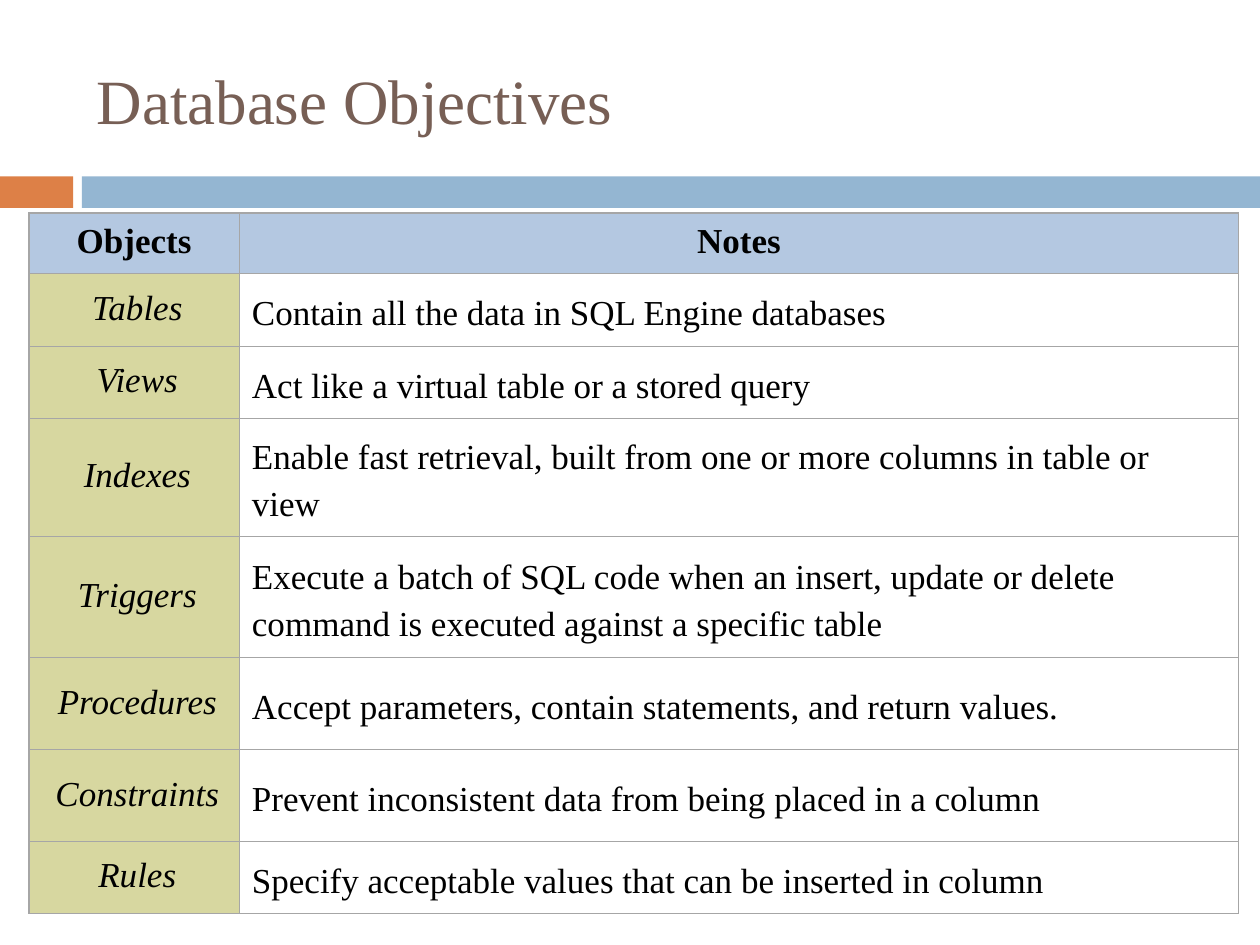
from typing import NamedTuple

from lxml.etree import SubElement
from pptx import Presentation
from pptx.dml.color import RGBColor
from pptx.enum.shapes import MSO_SHAPE
from pptx.enum.text import MSO_ANCHOR, PP_ALIGN
from pptx.oxml.ns import qn
from pptx.util import Inches, Pt

WIDTH, HEIGHT = Inches(10), Inches(7.5)
FONT = "Times New Roman"
BORDER = "A6A6A6"
COLUMN_WIDTHS = (1.67, 7.93)
SIDE_MARGIN, NARROW_MARGIN = Inches(0.1), Inches(0.05)
VERTICAL_MARGIN = Inches(0.07)


class Bar(NamedTuple):
    """A band's horizontal extent, in shares of the slide's width."""
    left: float
    width: float
    color: str


class Row(NamedTuple):
    name: str
    note: str
    height: float


class CellStyle(NamedTuple):
    fill: str
    alignment: PP_ALIGN
    line_spacing: float
    left_margin: int
    right_margin: int
    bold: bool = False
    italic: bool = False


BARS = (Bar(0, 0.058, "DD8047"), Bar(0.065, 0.935, "94B6D2"))

ROWS = (
    Row("Objects", "Notes", 0.48),
    Row("Tables", "Contain all the data in SQL Engine databases", 0.58),
    Row("Views", "Act like a virtual table or a stored query", 0.57),
    Row("Indexes", "Enable fast retrieval, built from one or more columns "
        "in table or view", 0.94),
    Row("Triggers", "Execute a batch of SQL code when an insert, update or delete "
        "command is executed against a specific table", 0.96),
    Row("Procedures", "Accept parameters, contain statements, and return values.", 0.73),
    Row("Constraints", "Prevent inconsistent data from being placed in a column", 0.73),
    Row("Rules", "Specify acceptable values that can be inserted in column", 0.57),
)

HEADER_STYLES = (
    CellStyle("B4C8E1", PP_ALIGN.CENTER, 0.9, NARROW_MARGIN, NARROW_MARGIN, bold=True),
    CellStyle("B4C8E1", PP_ALIGN.CENTER, 0.9, SIDE_MARGIN, SIDE_MARGIN, bold=True),
)
BODY_STYLES = (
    CellStyle("D7D7A0", PP_ALIGN.CENTER, 0.9, SIDE_MARGIN, NARROW_MARGIN, italic=True),
    CellStyle("FFFFFF", PP_ALIGN.LEFT, 1.2, SIDE_MARGIN, SIDE_MARGIN),
)


def rgb(color: str) -> RGBColor:
    return RGBColor.from_string(color)


def set_attributes(target, values: dict) -> None:
    for name, value in values.items():
        setattr(target, name, value)


def write(paragraph, text: str, size: float, color: str, **formats) -> None:
    run = paragraph.add_run()
    run.text = text
    set_attributes(run.font, {"name": FONT, "size": Pt(size), **formats})
    run.font.color.rgb = rgb(color)


def add_bar(slide, bar: Bar) -> None:
    shape = slide.shapes.add_shape(
        MSO_SHAPE.RECTANGLE, int(bar.left * WIDTH), Inches(1.4),
        int(bar.width * WIDTH), Inches(0.25))
    shape.shadow.inherit = False
    shape.fill.solid()
    shape.fill.fore_color.rgb = rgb(bar.color)
    shape.line.fill.background()


def add_title(slide, text: str) -> None:
    box = slide.shapes.add_textbox(Inches(0.67), Inches(0.25), Inches(8.92), Inches(1.08))
    set_attributes(box.text_frame,
                   {"word_wrap": True, "vertical_anchor": MSO_ANCHOR.MIDDLE})
    write(box.text_frame.paragraphs[0], text, 36, "775F55")


def add_borders(cell) -> None:
    properties = cell._tc.get_or_add_tcPr()
    for side in ("a:lnL", "a:lnR", "a:lnT", "a:lnB"):
        line = SubElement(properties, qn(side), w=str(Pt(1)))
        fill = SubElement(line, qn("a:solidFill"))
        SubElement(fill, qn("a:srgbClr"), val=BORDER)


def fill_cell(cell, text: str, style: CellStyle) -> None:
    add_borders(cell)
    cell.fill.solid()
    cell.fill.fore_color.rgb = rgb(style.fill)
    set_attributes(cell, {
        "vertical_anchor": MSO_ANCHOR.MIDDLE,
        "margin_left": style.left_margin, "margin_right": style.right_margin,
        "margin_top": VERTICAL_MARGIN, "margin_bottom": VERTICAL_MARGIN})
    paragraph = cell.text_frame.paragraphs[0]
    set_attributes(paragraph, {"alignment": style.alignment,
                               "line_spacing": style.line_spacing})
    write(paragraph, text, 20, "000000", bold=style.bold, italic=style.italic)


def add_objects_table(slide) -> None:
    table = slide.shapes.add_table(
        len(ROWS), len(COLUMN_WIDTHS), Inches(0.23), Inches(1.69),
        Inches(sum(COLUMN_WIDTHS)), Inches(sum(row.height for row in ROWS))).table
    set_attributes(table, {"first_row": False, "horz_banding": False})
    for column, width in zip(table.columns, COLUMN_WIDTHS):
        column.width = Inches(width)
    for index, row in enumerate(ROWS):
        table.rows[index].height = Inches(row.height)
        styles = BODY_STYLES if index else HEADER_STYLES
        for cell, text, style in zip(table.rows[index].cells, (row.name, row.note), styles):
            fill_cell(cell, text, style)


def main() -> None:
    presentation = Presentation()
    set_attributes(presentation, {"slide_width": WIDTH, "slide_height": HEIGHT})
    slide = presentation.slides.add_slide(presentation.slide_layouts[6])
    for bar in BARS:
        add_bar(slide, bar)
    add_title(slide, "Database Objectives")
    add_objects_table(slide)
    presentation.save("out.pptx")


if __name__ == "__main__":
    main()
